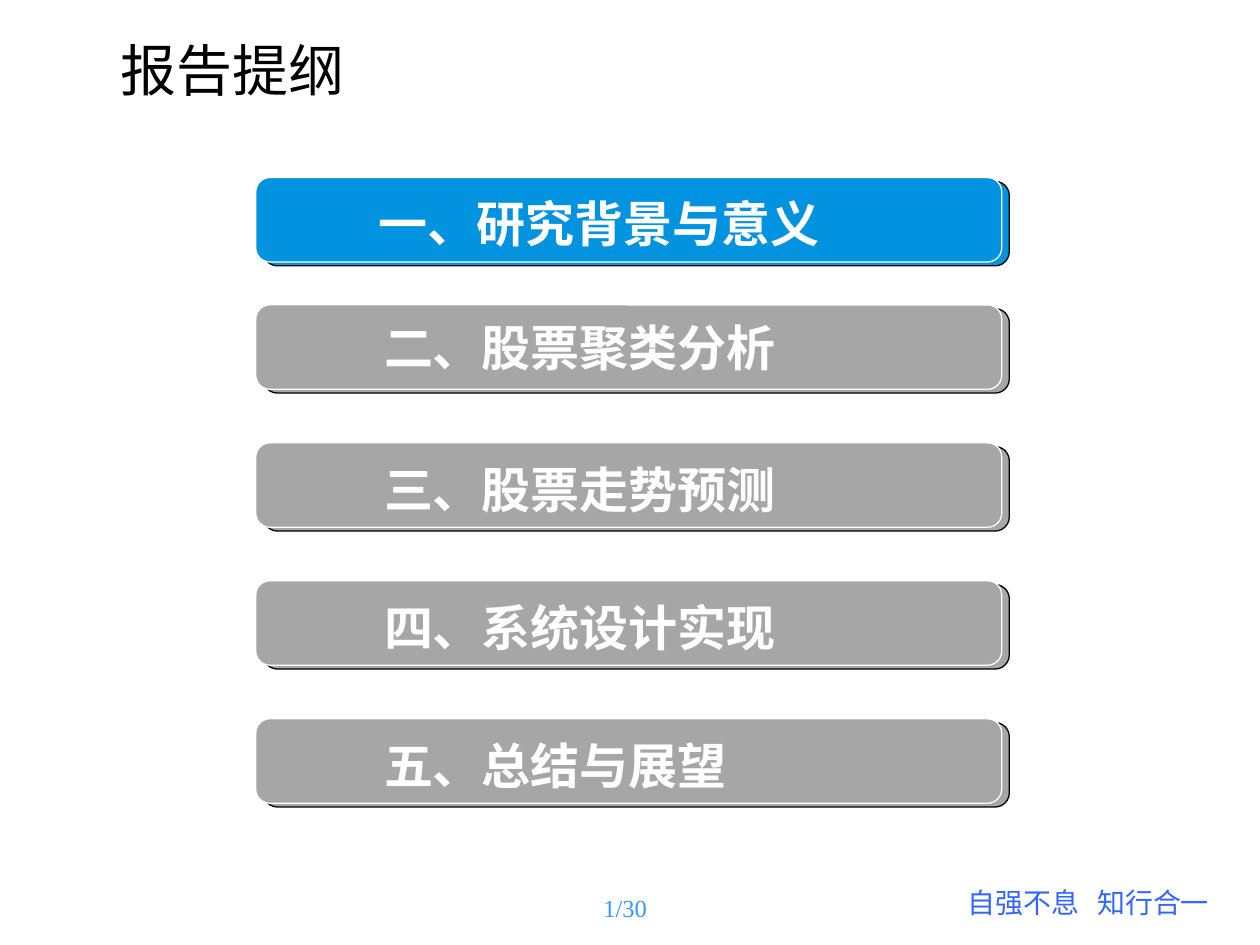
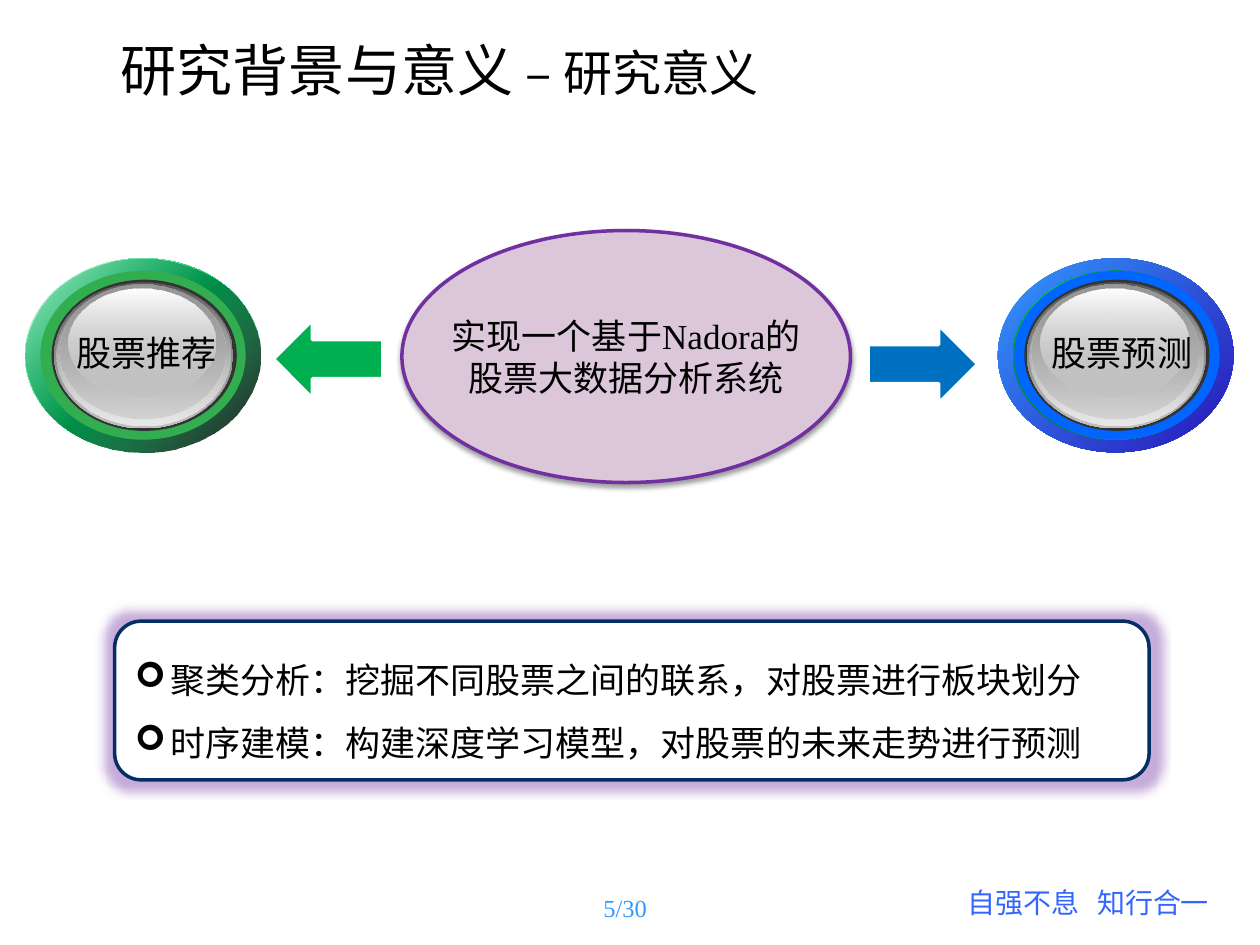
"""Build the outline slide and the research significance slide of a stock analysis report."""
from dataclasses import dataclass
from typing import Any, NamedTuple, Optional, Union

from lxml.etree import SubElement
from pptx import Presentation
from pptx.dml.color import RGBColor
from pptx.enum.shapes import MSO_SHAPE as Geometry
from pptx.enum.text import MSO_ANCHOR as Anchor, MSO_AUTO_SIZE as AutoSize, PP_ALIGN as Align
from pptx.oxml.ns import qn
from pptx.util import Inches, Pt


@dataclass(frozen=True)
class Theme:
    sans: str = "Noto Sans CJK SC"
    motto_font: str = "Noto Sans CJK JP"
    serif: str = "Times New Roman"
    title_size: int = 32
    heading_size: int = 28
    body_size: int = 20
    motto_size: int = 16
    page_size: int = 14
    text: str = "000000"
    white: str = "FFFFFF"
    motto: str = "3366FF"
    page: str = "3399FF"
    current: str = "0293E0"
    waiting: str = "A6A6A6"
    green: str = "32AE51"
    bright_green: str = "00CC66"
    deep_green: str = "006E37"
    green_arrow: str = "00B050"
    blue: str = "0066FF"
    deep_blue: str = "2814B8"
    blue_arrow: str = "0070C0"
    charcoal: str = "333333"
    dark_gray: str = "595959"
    mid_gray: str = "989898"
    silver: str = "C0C0C0"
    pale_gray: str = "E9E9E9"
    lilac: str = "DBC7D9"
    purple: str = "7030A0"
    navy: str = "052E65"


THEME = Theme()


class Box(NamedTuple):
    left: float
    top: float
    width: float
    height: float

    def shifted(self, right: float, down: float) -> "Box":
        return self._replace(left=self.left + right, top=self.top + down)

    def lengths(self) -> list:
        return [Inches(value) for value in self]


class Stop(NamedTuple):
    position: int
    color: str
    opacity: int = 100


class Gradient(NamedTuple):
    stops: tuple
    angle: int = 90


class Outline(NamedTuple):
    color: str
    width: float


class Span(NamedTuple):
    text: str
    size: int
    font: str = THEME.sans
    color: str = THEME.text
    bold: bool = False


class Layer(NamedTuple):
    box: Box
    fill: Union[str, Gradient]


class Section(NamedTuple):
    heading: str
    top: float
    color: str = THEME.waiting
    label_left: float = 2.95
    label_drop: float = 0.08


class Medallion(NamedTuple):
    left: float
    rim: tuple
    label: str
    label_box: Box


SECTION_STEP = 1.095
SECTIONS = [
    Section("一、研究背景与意义", 1.41, THEME.current, 2.91),
    Section("二、股票聚类分析", 2.42, label_drop=0.05),
    *(Section(heading, 2.42 + SECTION_STEP * step)
      for step, heading in enumerate(("三、股票走势预测", "四、系统设计实现", "五、总结与展望"), 1)),
]

DISC = Box(0, 0, 1.87, 1.54)
RING = Box(0.12, 0.1, 1.63, 1.34)
BASE = Layer(DISC, Gradient(
    (Stop(0, THEME.white), Stop(50, THEME.bright_green), Stop(100, THEME.white)), 45))
GLASS = (
    Layer(Box(0.21, 0.17, 1.47, 1.2), THEME.charcoal),
    Layer(Box(0.23, 0.19, 1.42, 1.16),
          Gradient((Stop(0, THEME.dark_gray), Stop(100, THEME.silver)))),
    Layer(Box(0.25, 0.2, 1.38, 1.13),
          Gradient((Stop(0, THEME.silver, 0), Stop(100, THEME.pale_gray)))),
    Layer(Box(0.27, 0.21, 1.32, 1.06),
          Gradient((Stop(0, THEME.mid_gray), Stop(100, THEME.silver, 48)))),
    Layer(Box(0.34, 0.24, 1.17, 0.86),
          Gradient((Stop(0, THEME.white), Stop(100, THEME.silver, 38)))),
)
MEDALLION_TOP = 2.05
MEDALLIONS = [
    Medallion(0.2, (
        Layer(DISC, Gradient((Stop(0, THEME.bright_green, 32), Stop(100, THEME.text, 90)), 45)),
        Layer(RING, THEME.green),
    ), "股票推荐", Box(0.51, 2.58, 1.33, 0.44)),
    Medallion(7.92, (
        Layer(DISC, Gradient((Stop(0, THEME.page), Stop(100, THEME.deep_blue)), 45)),
        Layer(RING, Gradient((Stop(0, THEME.deep_green), Stop(50, THEME.bright_green),
                              Stop(100, THEME.deep_green)), 315)),
        Layer(RING.shifted(0.01, 0), THEME.blue),
    ), "股票预测", Box(8.25, 2.58, 1.42, 0.44)),
]


def apply_format(target: Any, values: dict) -> None:
    for name, value in values.items():
        setattr(target, name, value)


def add_color(parent: Any, color: str, opacity: int = 100) -> None:
    element = SubElement(parent, qn("a:srgbClr"), val=color)
    if opacity < 100:
        SubElement(element, qn("a:alpha"), val=str(opacity * 1000))


def paint(shape: Any, fill: Union[str, Gradient]) -> None:
    if isinstance(fill, str):
        shape.fill.solid()
        shape.fill.fore_color.rgb = RGBColor.from_string(fill)
        return
    shape.fill.background()
    properties = shape.element.spPr
    gradient = SubElement(properties, qn("a:gradFill"), rotWithShape="1")
    stops = SubElement(gradient, qn("a:gsLst"))
    for stop in fill.stops:
        add_color(SubElement(stops, qn("a:gs"), pos=str(stop.position * 1000)),
                  stop.color, stop.opacity)
    SubElement(gradient, qn("a:lin"), ang=str(fill.angle * 60000), scaled="1")
    properties.replace(properties.find(qn("a:noFill")), gradient)


def add_figure(slide: Any, geometry: Geometry, box: Box, fill: Union[str, Gradient],
               outline: Optional[Outline] = None) -> Any:
    shape = slide.shapes.add_shape(geometry, *box.lengths())
    shape.shadow.inherit = False
    paint(shape, fill)
    if outline:
        shape.line.color.rgb = RGBColor.from_string(outline.color)
        shape.line.width = Pt(outline.width)
    else:
        shape.line.fill.background()
    return shape


def add_effect(shape: Any, kind: str, color: str, opacity: int, **lengths: str) -> None:
    effects = shape.element.spPr.find(qn("a:effectLst"))
    add_color(SubElement(effects, qn(kind), **lengths), color, opacity)


def write(shape: Any, lines: list, anchor: Anchor = Anchor.TOP, wrap: bool = True,
          **paragraph_format: Any) -> None:
    frame = shape.text_frame
    apply_format(frame, {"auto_size": AutoSize.NONE, "word_wrap": wrap, "vertical_anchor": anchor})
    for index, spans in enumerate(lines):
        paragraph = frame.add_paragraph() if index else frame.paragraphs[0]
        apply_format(paragraph, {"alignment": Align.LEFT, **paragraph_format})
        for span in spans:
            run = paragraph.add_run()
            run.text = span.text
            apply_format(run.font, {"size": Pt(span.size), "name": span.font, "bold": span.bold})
            run.font.color.rgb = RGBColor.from_string(span.color)
            east_asian = THEME.sans if span.font == THEME.serif else span.font
            SubElement(run.font._element, qn("a:ea"), typeface=east_asian)


def add_text(slide: Any, box: Box, span: Span) -> Any:
    shape = slide.shapes.add_textbox(*box.lengths())
    write(shape, [[span]])
    return shape


def place(shape: Any, box: Box) -> None:
    apply_format(shape, dict(zip(("left", "top", "width", "height"), box.lengths())))


def add_page(presentation: Any, layout: int, title: list, number: str) -> Any:
    slide = presentation.slides.add_slide(presentation.slide_layouts[layout])
    place(slide.shapes.title, Box(0.86, 0.23, 8.69, 0.63))
    write(slide.shapes.title, [title], Anchor.MIDDLE)
    motto = add_text(slide, Box(7.58, 6.98, 2.19, 0.37),
                     Span("自强不息\t知行合一", THEME.motto_size, THEME.motto_font, THEME.motto))
    properties = motto.text_frame.paragraphs[0]._p.get_or_add_pPr()
    tabs = SubElement(properties, qn("a:tabLst"))
    SubElement(tabs, qn("a:tab"), pos=str(Inches(1.03)), algn="l")
    add_text(slide, Box(4.69, 7.04, 0.63, 0.34),
             Span(number, THEME.page_size, THEME.serif, THEME.page))
    return slide


def add_section(slide: Any, section: Section) -> None:
    bar = Box(2.03, section.top, 5.92, 0.67)
    for box, color in ((bar.shifted(0.06, 0.03), THEME.text), (bar, THEME.white)):
        add_figure(slide, Geometry.ROUNDED_RECTANGLE, box, section.color, Outline(color, 0.75))
    label = add_figure(slide, Geometry.RECTANGLE,
                       Box(section.label_left, section.top + section.label_drop, 4.26, 0.57),
                       section.color)
    write(label, [[Span(section.heading, THEME.heading_size, color=THEME.white, bold=True)]])


def add_medallion(slide: Any, medallion: Medallion) -> None:
    for layer in (BASE, *medallion.rim, *GLASS):
        add_figure(slide, Geometry.OVAL, layer.box.shifted(medallion.left, MEDALLION_TOP),
                   layer.fill)
    add_text(slide, medallion.label_box, Span(medallion.label, THEME.body_size))


def add_goal(slide: Any) -> None:
    goal = add_figure(slide, Geometry.OVAL, Box(3.19, 1.83, 3.56, 2), THEME.lilac,
                      Outline(THEME.purple, 2))
    add_effect(goal, "a:outerShdw", THEME.text, 38, blurRad=str(Pt(3.1)), dist=str(Pt(1.6)),
               dir="5400000", rotWithShape="0")
    write(goal, [[Span(text, THEME.body_size, THEME.serif)]
                 for text in ("实现一个基于Nadora的", "股票大数据分析系统")],
          Anchor.MIDDLE, wrap=False, alignment=Align.CENTER)


def add_methods(slide: Any) -> None:
    box = Box(0.91, 4.93, 8.21, 1.26)
    panel = add_figure(slide, Geometry.ROUNDED_RECTANGLE, box, THEME.white, Outline(THEME.navy, 2))
    add_effect(panel, "a:glow", THEME.purple, 40, rad=str(Pt(11)))
    body = slide.placeholders[1]
    body.element.addprevious(panel.element)
    place(body, box.shifted(0.06, 0)._replace(width=8.09))
    write(body, [[Span(text, THEME.body_size, THEME.serif)] for text in (
        "聚类分析：挖掘不同股票之间的联系，对股票进行板块划分",
        "时序建模：构建深度学习模型，对股票的未来走势进行预测")],
        Anchor.MIDDLE, line_spacing=1.5, space_before=Pt(0))
    for paragraph in body.text_frame.paragraphs:
        properties = paragraph._p.get_or_add_pPr()
        properties.set("marL", str(Inches(0.28)))
        properties.set("indent", str(-Inches(0.28)))
        SubElement(properties, qn("a:buFont"), typeface="Wingdings")
        SubElement(properties, qn("a:buChar"), char="➢")


def main() -> None:
    presentation = Presentation()
    apply_format(presentation, {"slide_width": Inches(10), "slide_height": Inches(7.5)})

    outline = add_page(presentation, 5, [Span("报告提纲", THEME.title_size)], "1/30")
    for section in SECTIONS:
        add_section(outline, section)

    significance = add_page(presentation, 1, [
        Span("研究背景与意义 ", THEME.title_size), Span("– 研究意义", THEME.heading_size)], "5/30")
    for medallion in MEDALLIONS:
        add_medallion(significance, medallion)
    for geometry, left, top, color in (
            (Geometry.LEFT_ARROW, 2.17, 2.54, THEME.green_arrow),
            (Geometry.RIGHT_ARROW, 6.89, 2.58, THEME.blue_arrow)):
        add_figure(significance, geometry, Box(left, top, 0.87, 0.62), color,
                   Outline(THEME.white, 2))
    add_goal(significance)
    add_methods(significance)
    presentation.save("out.pptx")


if __name__ == "__main__":
    main()
